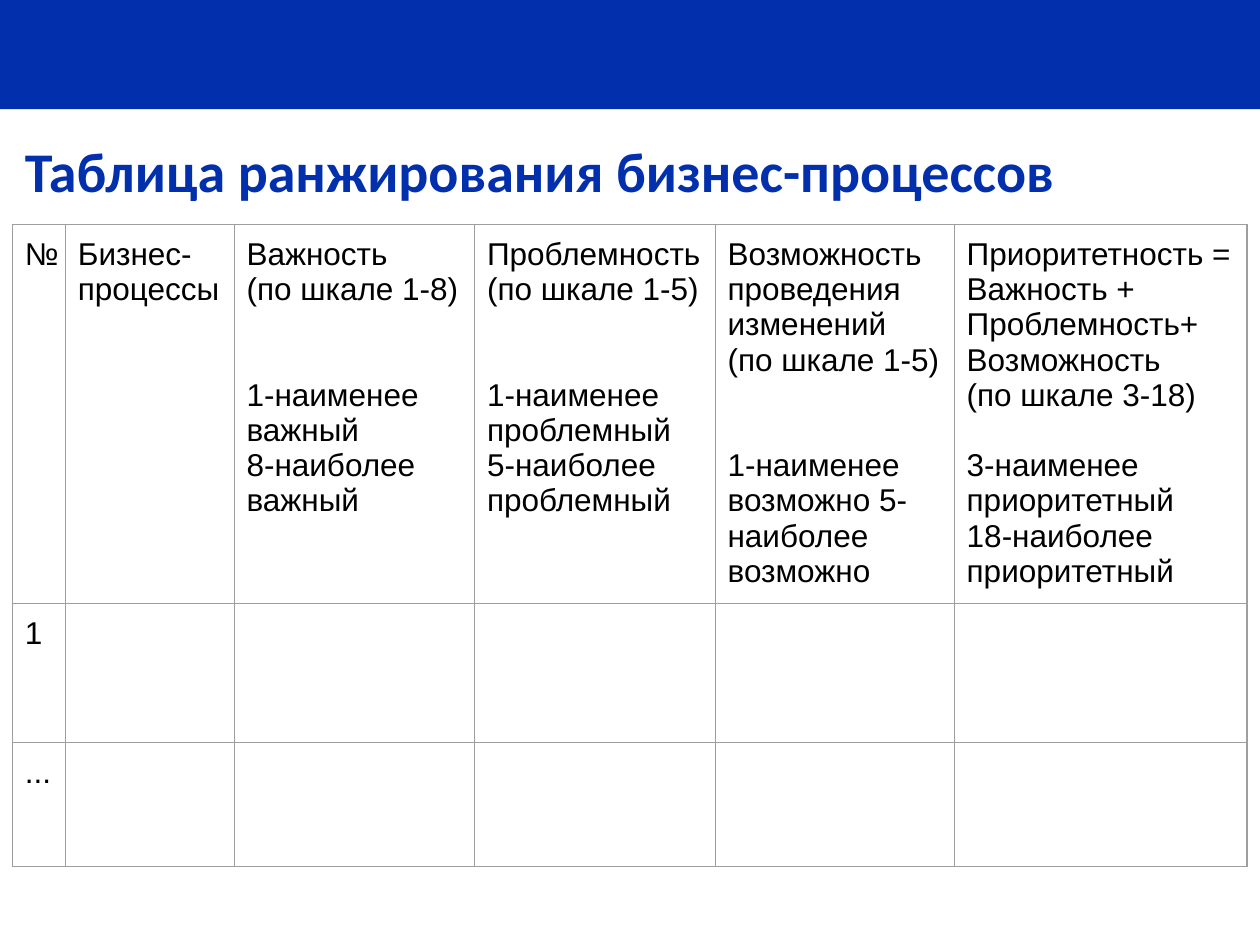
from lxml.etree import SubElement
from pptx import Presentation
from pptx.dml.color import RGBColor
from pptx.enum.shapes import MSO_SHAPE
from pptx.enum.text import MSO_ANCHOR, PP_ALIGN
from pptx.oxml.ns import qn
from pptx.util import Cm, Pt

BLUE = RGBColor(0x02, 0x30, 0xAC)
BLACK = RGBColor(0x00, 0x00, 0x00)
GREY = RGBColor(0x9E, 0x9E, 0x9E)

INSET = Cm(0.25)
TEXT_LINE = 20.1  # height of one table text line, points
COLUMN_WIDTHS = (1.07, 3.4, 4.85, 4.85, 4.82, 5.9)
ROW_HEIGHTS = (7.65, 2.79, 2.51)

# Header cells: heading, scale legend, gap between them in text lines
HEADERS = (
    ("№", "", 0),
    ("Бизнес-\nпроцессы", "", 0),
    ("Важность\n(по шкале 1-8)", "1-наименее важный\n8-наиболее важный", 2),
    ("Проблемность (по шкале 1-5)",
     "1-наименее проблемный 5-наиболее проблемный", 2),
    ("Возможность проведения изменений\n(по шкале 1-5)",
     "1-наименее возможно 5-наиболее возможно", 2),
    ("Приоритетность = Важность + Проблемность+ Возможность\n(по шкале 3-18)",
     "3-наименее приоритетный\n18-наиболее приоритетный", 1),
)
ROW_LABELS = ("1", "...")


def add_text(paragraph, text, font, size, color, bold=False):
    paragraph.alignment = PP_ALIGN.LEFT
    for index, line in enumerate(text.split("\n")):
        if index:
            paragraph.add_line_break()
        run = paragraph.add_run()
        run.text = line
        run.font.name = font
        run.font.size = Pt(size)
        run.font.bold = bold
        run.font.color.rgb = color


def set_insets(box):
    box.margin_left = box.margin_right = INSET
    box.margin_top = box.margin_bottom = INSET


def add_band(slide, width):
    band = slide.shapes.add_shape(MSO_SHAPE.RECTANGLE, 0, 0, width, Cm(2.2))
    band.shadow.inherit = False
    band.fill.solid()
    band.fill.fore_color.rgb = BLUE
    band.line.fill.background()


def add_title(slide, text):
    title = slide.shapes.add_textbox(Cm(0.25), Cm(2.5), Cm(24.9), Cm(1.42))
    frame = title.text_frame
    frame.word_wrap = True
    frame.vertical_anchor = MSO_ANCHOR.TOP
    set_insets(frame)
    add_text(frame.paragraphs[0], text, "Calibri", 32, BLUE, bold=True)


def set_borders(cell):
    properties = cell._tc.get_or_add_tcPr()
    for position, side in enumerate(("lnL", "lnR", "lnT", "lnB")):
        border = SubElement(properties, qn(f"a:{side}"), w=str(Pt(0.75)))
        fill = SubElement(border, qn("a:solidFill"))
        SubElement(fill, qn("a:srgbClr"), val=str(GREY))
        properties.insert(position, border)  # borders precede the fill


def add_cell_text(cell, text):
    add_text(cell.text_frame.paragraphs[0], text, "Arial", 18, BLACK)


def add_legend(cell, text, gap_lines):
    legend = cell.text_frame.add_paragraph()
    legend.space_before = Pt(gap_lines * TEXT_LINE)
    add_text(legend, text, "Arial", 18, BLACK)


def add_ranking_table(slide):
    ranking = slide.shapes.add_table(
        len(ROW_HEIGHTS), len(COLUMN_WIDTHS), Cm(0.25), Cm(4.52),
        Cm(sum(COLUMN_WIDTHS)), Cm(sum(ROW_HEIGHTS))).table
    ranking.first_row = ranking.horz_banding = False
    for column, width in zip(ranking.columns, COLUMN_WIDTHS):
        column.width = Cm(width)
    for row, height in zip(ranking.rows, ROW_HEIGHTS):
        row.height = Cm(height)

    for cell in ranking.iter_cells():
        set_insets(cell)
        cell.fill.background()
        set_borders(cell)

    # Header row
    for column, (heading, legend, gap_lines) in enumerate(HEADERS):
        cell = ranking.cell(0, column)
        add_cell_text(cell, heading)
        if legend:
            add_legend(cell, legend, gap_lines)

    # Numbered rows to fill in
    for row, label in enumerate(ROW_LABELS, start=1):
        add_cell_text(ranking.cell(row, 0), label)


def main():
    presentation = Presentation()
    presentation.slide_width = Cm(25.4)
    presentation.slide_height = Cm(19.05)
    slide = presentation.slides.add_slide(presentation.slide_layouts[6])
    add_band(slide, presentation.slide_width)
    add_ranking_table(slide)
    add_title(slide, "Таблица ранжирования бизнес-процессов")
    presentation.save("out.pptx")


if __name__ == "__main__":
    main()
